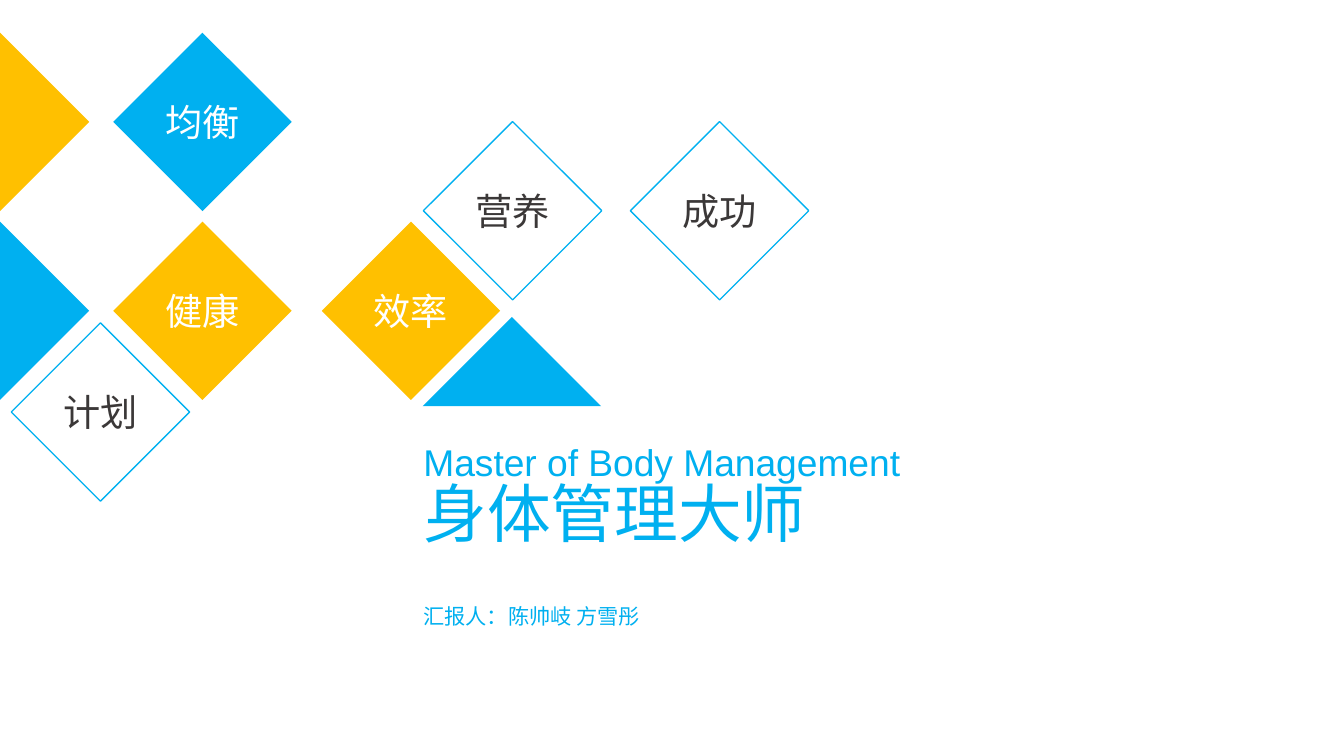
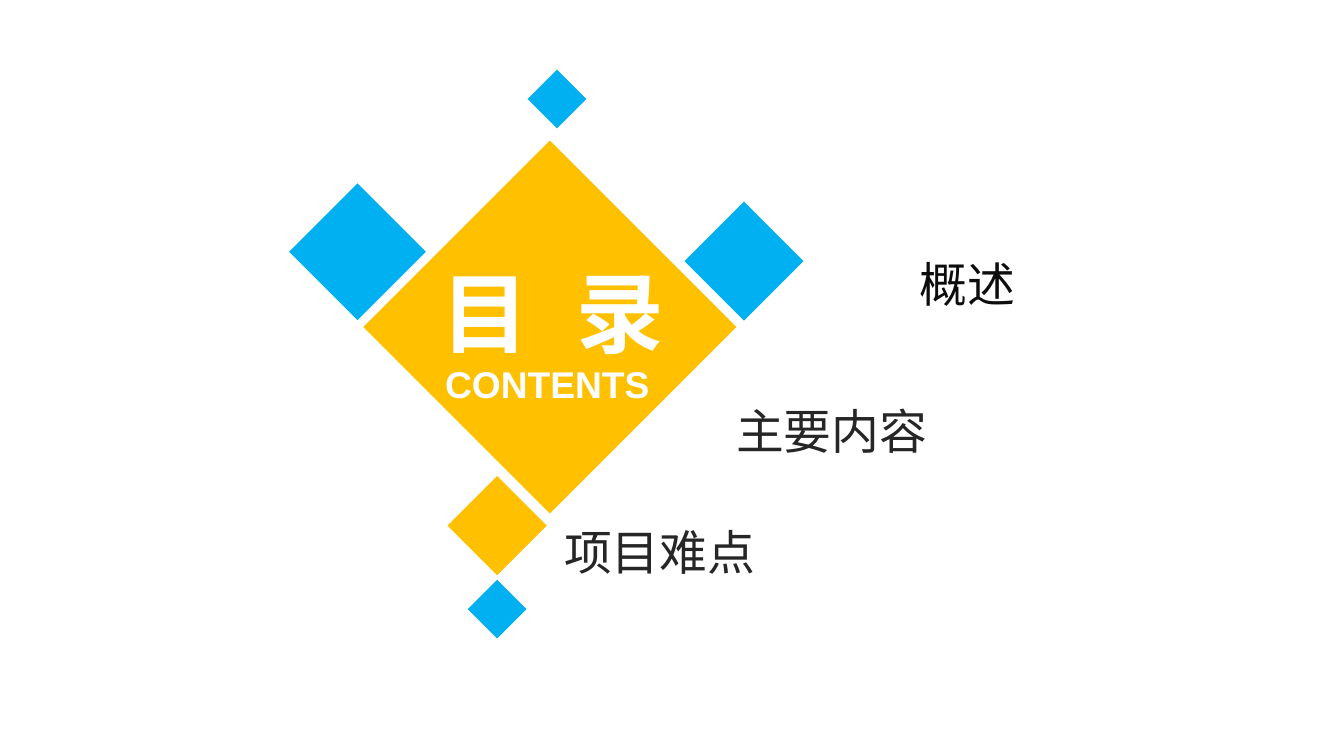
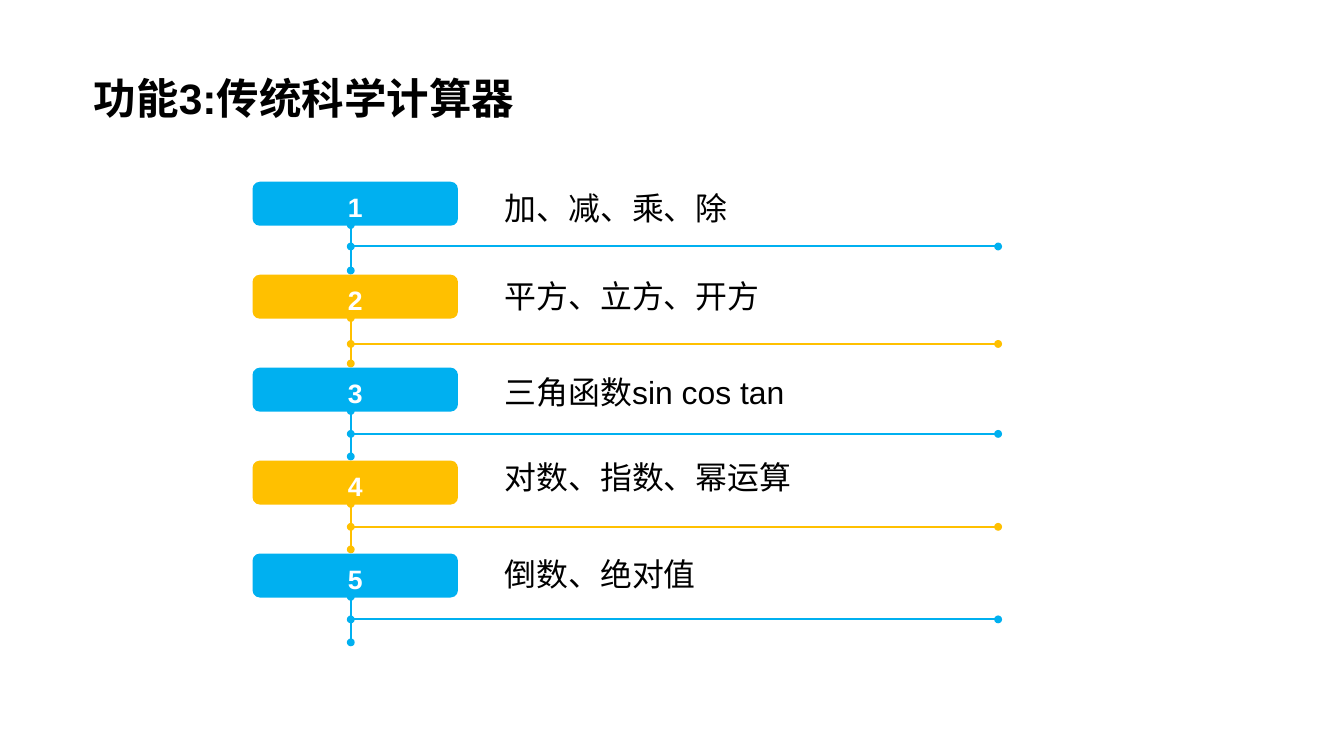
from lxml import etree
from pptx import Presentation
from pptx import util as u
from pptx.dml.color import RGBColor
from pptx.enum import shapes, text
from pptx.oxml.ns import qn

BLUE, GOLD, WHITE = "00B0F0", "FFC000", "FFFFFF"
BLACK, CHARCOAL = "000000", "262626"
LATIN, CHINESE = "Arial", "Noto Sans CJK SC"
LEFT, CENTER = text.PP_ALIGN.LEFT, text.PP_ALIGN.CENTER
TOP, MIDDLE = text.MSO_ANCHOR.TOP, text.MSO_ANCHOR.MIDDLE
DIAMOND = shapes.MSO_SHAPE.DIAMOND
TRIANGLE = shapes.MSO_SHAPE.ISOSCELES_TRIANGLE


def write(shape, words, size, color, font=LATIN, bold=False, align=CENTER,
          anchor=MIDDLE, wrap=True, leading=None, before=0):
    frame = shape.text_frame
    frame.text = words
    frame.word_wrap = wrap
    frame.vertical_anchor = anchor
    frame.margin_left = frame.margin_right = frame.margin_top = frame.margin_bottom = 0
    paragraph = frame.paragraphs[0]
    paragraph.alignment = align
    paragraph.line_spacing = leading
    paragraph.space_before = u.Pt(before)
    run = paragraph.runs[0]
    run.font.size = u.Pt(size)
    run.font.bold = bold
    run.font.name = font
    run.font.color.rgb = RGBColor.from_string(color)
    properties = run.font._element
    etree.SubElement(properties, qn("a:ea")).set("typeface", font)
    return properties


def draw(slide, kind, center_x, center_y, width, height, fill=None):
    shape = slide.shapes.add_shape(kind, u.Cm(center_x - width / 2), u.Cm(center_y - height / 2),
                                   u.Cm(width), u.Cm(height))
    shape.shadow.inherit = False
    if fill:
        shape.fill.solid()
        shape.fill.fore_color.rgb = RGBColor.from_string(fill)
        shape.line.fill.background()
    else:
        shape.fill.background()
        shape.line.color.rgb = RGBColor.from_string(BLUE)
        shape.line.width = u.Pt(1)
    return shape


presentation = Presentation()
presentation.slide_width = u.Cm(35.71)
presentation.slide_height = u.Cm(20.09)
cover, contents, calculator = [
    presentation.slides.add_slide(presentation.slide_layouts[6]) for _ in range(3)]

TILE = 4.74
for words, x, y, fill in [
    ("营养", 13.62, 5.6, None),
    ("成功", 19.12, 5.6, None),
    ("均衡", 5.38, 3.24, BLUE),
    ("健康", 5.38, 8.26, GOLD),
    ("效率", 10.92, 8.26, GOLD),
    ("计划", 2.67, 10.95, None),
]:
    tile = draw(cover, DIAMOND, x, y, TILE, TILE, fill)
    write(tile, words, 28, WHITE if fill else "3B3838", CHINESE, wrap=False)

for x, y, rotation, fill in [
    (TILE / 4, 3.24, 90, GOLD),
    (TILE / 4, 8.26, 90, BLUE),
    (13.6, 9.61, 0, BLUE),
]:
    half_tile = draw(cover, TRIANGLE, x, y, TILE, TILE / 2, fill)
    half_tile.rotation = rotation

for x, y, size, fill in [
    (9.5, 6.69, 3.63, BLUE),
    (14.61, 8.69, 9.91, GOLD),
    (13.21, 13.97, 2.64, GOLD),
    (19.77, 6.94, 3.16, BLUE),
    (13.21, 16.19, 1.56, BLUE),
    (14.8, 2.63, 1.56, BLUE),
]:
    draw(contents, DIAMOND, x, y, size, size, fill)

STEP, BAR_HEIGHT, STEM_X, RULE_END = 2.47, 1.17, 9.32, 26.52
functions = [
    ("加、减、乘、除", 4.8, 6.55),
    ("平方、立方、开方", 7.14, 9.14),
    ("三角函数sin cos tan", 9.7, 11.53),
    ("对数、指数、幂运算", 11.96, 14),
    ("倒数、绝对值", 14.53, 16.46),
]
for index, (words, text_top, rule_y) in enumerate(functions):
    color = (BLUE, GOLD)[index % 2]
    bar_top = 4.83 + index * STEP
    bar = draw(calculator, shapes.MSO_SHAPE.ROUNDED_RECTANGLE, 9.44, bar_top + BAR_HEIGHT / 2,
               5.46, BAR_HEIGHT, color)
    write(bar, str(index + 1), 20, WHITE, bold=True, leading=1.2)

    stem_top = bar_top + 1.15
    for start_x, start_y, end_x, end_y in [
        (STEM_X, stem_top, STEM_X, stem_top + 1.21),
        (RULE_END, rule_y, STEM_X, rule_y),
    ]:
        line = calculator.shapes.add_connector(
            shapes.MSO_CONNECTOR.STRAIGHT,
            u.Cm(start_x), u.Cm(start_y), u.Cm(end_x), u.Cm(end_y))
        line.line.color.rgb = RGBColor.from_string(color)
        line.line.width = u.Pt(1.5)
        outline = line.line._get_or_add_ln()
        for end in ("a:headEnd", "a:tailEnd"):
            etree.SubElement(outline, qn(end)).set("type", "oval")
        etree.SubElement(line._element.spPr, qn("a:effectLst"))

    label = calculator.shapes.add_textbox(u.Cm(13.41), u.Cm(text_top), u.Cm(12.4), u.Cm(1.22))
    write(label, words, 24, BLACK, align=LEFT, anchor=TOP, leading=1.2, before=3.6)
    label.text_frame.auto_size = text.MSO_AUTO_SIZE.SHAPE_TO_FIT_TEXT

for slide, words, x, y, width, height, size, color, font, bold, align, anchor, before in [
    (cover, "Master of Body Management", 11.25, 11.68, 12.83, 1.19, 28, BLUE, LATIN, False, LEFT, TOP, 3.6),
    (cover, "身体管理大师", 11.25, 12.58, 19.2, 2.06, 48, BLUE, CHINESE, False, LEFT, TOP, 0),
    (cover, "汇报人：陈帅岐 方雪彤", 11.25, 16.02, 13.74, 0.69, 16, BLUE, CHINESE, False, LEFT, TOP, 0),
    (contents, "目 录", 10.7, 6.88, 7.98, 2.82, 66, WHITE, LATIN, True, CENTER, MIDDLE, 0),
    (contents, "CONTENTS", 10.59, 9.6, 7.9, 1.19, 28, WHITE, LATIN, True, CENTER, TOP, 3.6),
    (contents, "概述", 22.5, 6.76, 6.43, 1.98, 36, "0D0D0D", LATIN, False, CENTER, TOP, 3.6),
    (contents, "主要内容", 19.56, 10.67, 6.43, 1.98, 36, CHARCOAL, LATIN, False, LEFT, TOP, 3.6),
    (contents, "项目难点", 14.99, 13.89, 6.38, 1.98, 36, CHARCOAL, LATIN, False, LEFT, TOP, 3.6),
    (calculator, "功能3:传统科学计算器", 2.49, 1.91, 13.87, 1.37, 32, BLACK, LATIN, True, LEFT, MIDDLE, 3.6),
]:
    box = slide.shapes.add_textbox(u.Cm(x), u.Cm(y), u.Cm(width), u.Cm(height))
    properties = write(box, words, size, color, font, bold, align, anchor, before=before)
    box.text_frame.auto_size = text.MSO_AUTO_SIZE.SHAPE_TO_FIT_TEXT
    if size == 66:
        properties.set("spc", "900")

presentation.save("out.pptx")
